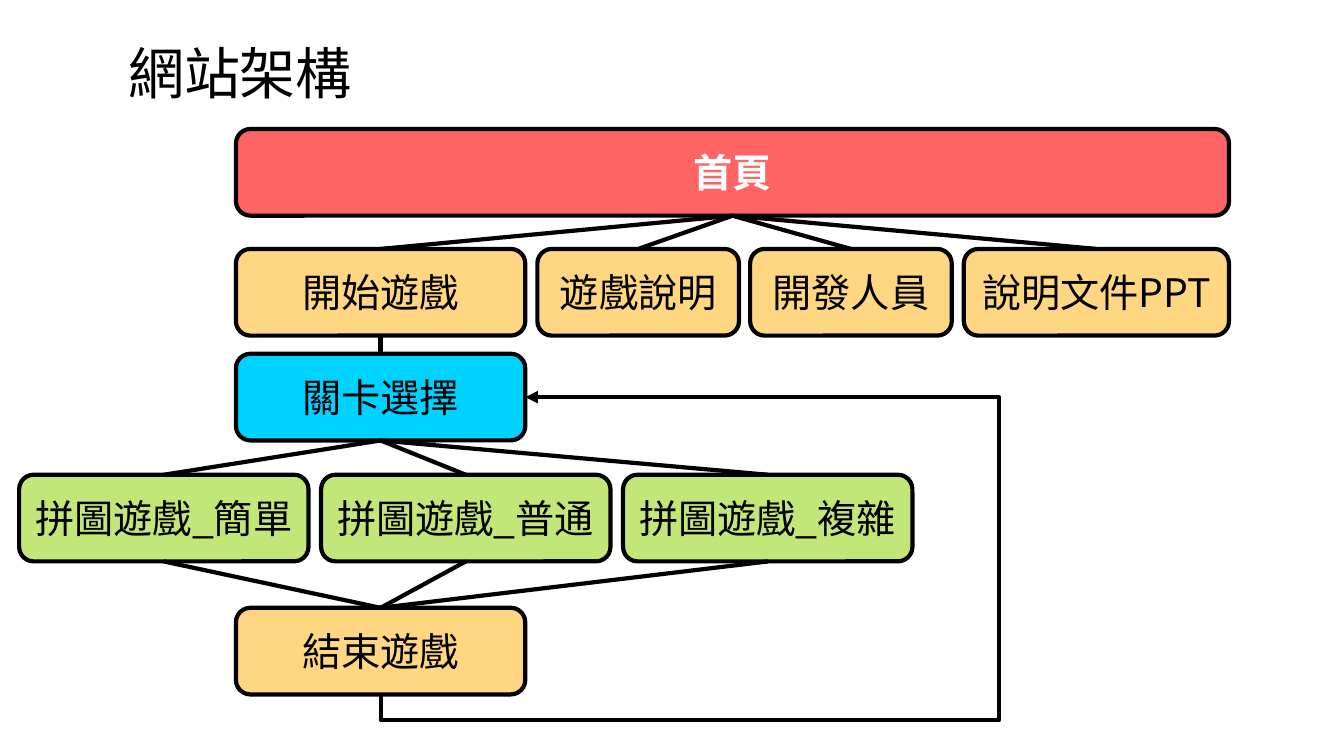
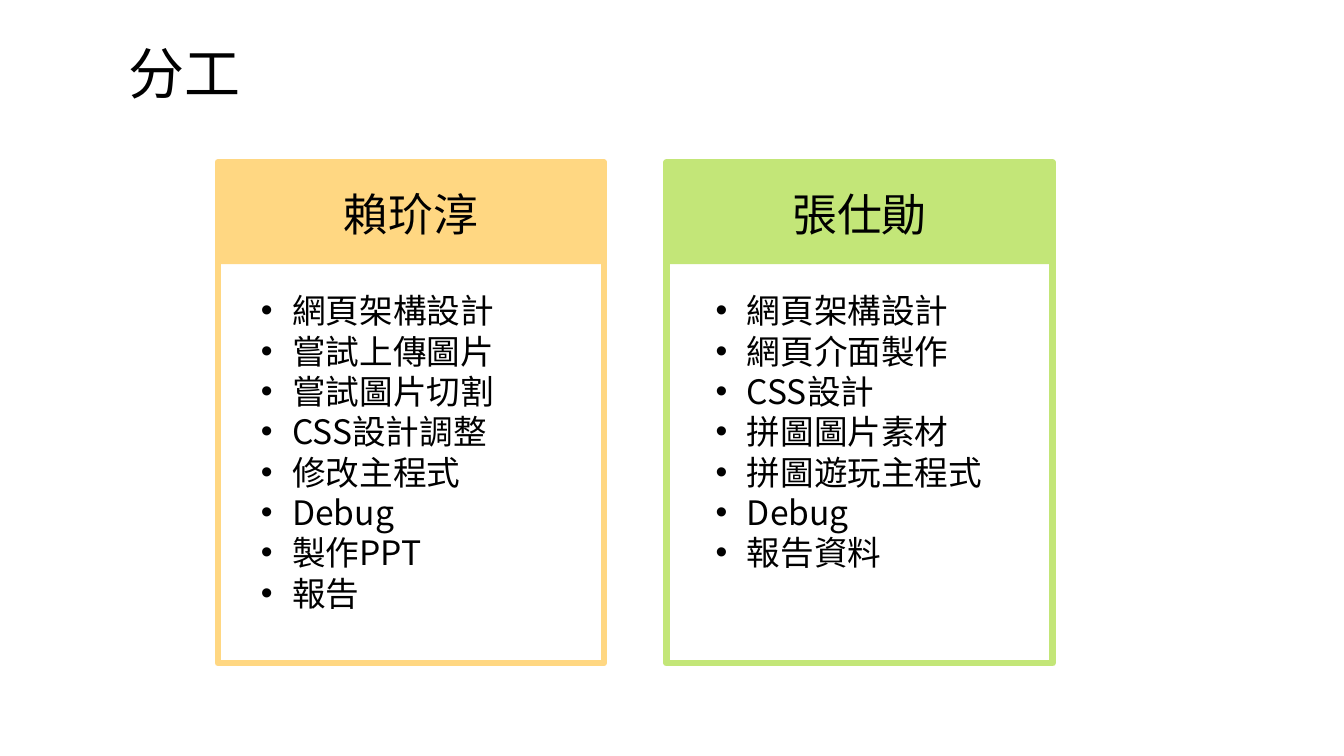
from lxml.etree import SubElement
from pptx import Presentation
from pptx.dml.color import RGBColor
from pptx.enum.shapes import MSO_CONNECTOR as LINE, MSO_SHAPE as SHAPE
from pptx.enum.text import MSO_ANCHOR as ANCHOR, MSO_AUTO_SIZE as AUTO, PP_ALIGN as ALIGN
from pptx.oxml.ns import qn
from pptx.util import Inches, Pt

BLACK = RGBColor(0x00, 0x00, 0x00)
WHITE = RGBColor(0xFF, 0xFF, 0xFF)
RED = RGBColor(0xFF, 0x64, 0x64)
ORANGE = RGBColor(0xFF, 0xD7, 0x82)
BLUE = RGBColor(0x00, 0xD2, 0xFF)
GREEN = RGBColor(0xC3, 0xE6, 0x78)

FONT = "Noto Sans CJK SC"
TITLE_ONLY = 5
TOP, BOTTOM, RIGHT = 0, 2, 3  # connection sites

ROW_HEIGHT = 0.86
NODE_WIDTH = 2.87
NODE_LEFT = 2.34
ROW_TOPS = {"home": 1.28, "menu": 2.47, "level": 3.51, "game": 4.71, "end": 6.03}
MENU = [("開始遊戲", NODE_LEFT, NODE_WIDTH), ("遊戲說明", 5.33, 2),
        ("開發人員", 7.44, 2), ("說明文件PPT", 9.56, 2.63)]
GAMES = ["拼圖遊戲_簡單", "拼圖遊戲_普通", "拼圖遊戲_複雜"]

CARD_LEFT, CARD_TOP, CARD_STEP = 2.16, 1.61, 4.45
CARD_WIDTH, CARD_HEIGHT, HEADER_HEIGHT = 3.83, 4.97, 1.01
# name, colour, list indent in the card, list width, tasks
CARDS = [
    ("賴玠淳", ORANGE, 0.33, 2.54,
     ["網頁架構設計", "嘗試上傳圖片", "嘗試圖片切割", "CSS設計調整",
      "修改主程式", "Debug", "製作PPT", "報告"]),
    ("張仕勛", GREEN, 0.39, 2.87,
     ["網頁架構設計", "網頁介面製作", "CSS設計", "拼圖圖片素材",
      "拼圖遊玩主程式", "Debug", "報告資料"]),
]


def write(para, text, size, align=ALIGN.LEFT, color=BLACK, bold=False):
    para.alignment = align
    span = para.add_run()
    span.text = text
    for name, value in {"name": FONT, "size": Pt(size), "bold": bold}.items():
        setattr(span.font, name, value)
    span.font.color.rgb = color
    SubElement(span.font._element, qn("a:ea")).set("typeface", FONT)


def format_frame(frame, **values):
    for name, value in values.items():
        setattr(frame, name, value)


def add_box(page, kind, left, top, width, height, fill=None, line=None, weight=3):
    box = page.shapes.add_shape(kind, *map(Inches, (left, top, width, height)))
    box.shadow.inherit = False
    if fill is None:
        box.fill.background()
    else:
        box.fill.solid()
        box.fill.fore_color.rgb = fill
    if line is None:
        box.line.fill.background()
    else:
        box.line.color.rgb = line
        box.line.width = Pt(weight)
    return box


def add_title_page(deck, text):
    page = deck.slides.add_slide(deck.slide_layouts[TITLE_ONLY])
    title = page.shapes.title
    place = {"left": 1.17, "top": 0.33, "width": 2.45, "height": 0.77}
    for name, value in place.items():
        setattr(title, name, Inches(value))
    format_frame(title.text_frame, word_wrap=False, auto_size=AUTO.NONE,
                 vertical_anchor=ANCHOR.TOP)
    write(title.text_frame.paragraphs[0], text, 40)
    return page


# Site map

def add_node(page, text, left, row, width, fill, color=BLACK, bold=False):
    node = add_box(page, SHAPE.ROUNDED_RECTANGLE, left, ROW_TOPS[row], width,
                   ROW_HEIGHT, fill, BLACK)
    node.text_frame.vertical_anchor = ANCHOR.MIDDLE
    write(node.text_frame.paragraphs[0], text, 28, ALIGN.CENTER, color, bold)
    return node


def join(page, start, end, kind=LINE.STRAIGHT, end_site=TOP):
    link = page.shapes.add_connector(kind, 0, 0, 0, 0)
    link.begin_connect(start, BOTTOM)
    link.end_connect(end, end_site)
    link.line.color.rgb = BLACK
    link.line.width = Pt(3)
    SubElement(link._element.spPr, qn("a:effectLst"))
    return link


def add_return_arrow(page, start, end, drop, lane):
    """Run from under start, along the lane on the right, back to end's right side."""
    link = join(page, start, end, LINE.ELBOW, RIGHT)
    x, y = start.left + start.width // 2, start.top + start.height
    across = end.left + end.width - x
    rise = y - (end.top + end.height // 2)

    # The four-part elbow is stored lying down and turned a quarter
    properties = link._element.spPr
    frame = properties.find(qn("a:xfrm"))
    for name, value in {"rot": "5400000", "flipH": "1", "flipV": "1"}.items():
        frame.set(name, value)
    link.left = x + (across - rise) // 2
    link.top = y - (rise + across) // 2
    link.width, link.height = rise, across

    geometry = properties.find(qn("a:prstGeom"))
    geometry.set("prst", "bentConnector4")
    guides = geometry.find(qn("a:avLst"))
    ratios = {"adj1": -Inches(drop) / rise, "adj2": (Inches(lane) - x) / across}
    for name, ratio in ratios.items():
        guide = SubElement(guides, qn("a:gd"))
        guide.set("name", name)
        guide.set("fmla", f"val {round(ratio * 100000)}")
    SubElement(link.line._get_or_add_ln(), qn("a:tailEnd")).set("type", "triangle")


def build_site_map(deck):
    page = add_title_page(deck, "網站架構")
    home = add_node(page, "首頁", NODE_LEFT, "home", 9.85, RED, WHITE, True)
    menu = [add_node(page, text, left, "menu", width, ORANGE)
            for text, left, width in MENU]
    level = add_node(page, "關卡選擇", NODE_LEFT, "level", NODE_WIDTH, BLUE)
    games = [add_node(page, text, 0.19 + 2.995 * index, "game", NODE_WIDTH, GREEN)
             for index, text in enumerate(GAMES)]
    end = add_node(page, "結束遊戲", NODE_LEFT, "end", NODE_WIDTH, ORANGE)

    for item in menu:
        join(page, home, item)
    join(page, menu[0], level)
    for game in games:
        join(page, level, game)
        join(page, game, end)
    add_return_arrow(page, end, level, drop=0.25, lane=9.91)


# Division of work

def add_bullet(para, indent):
    properties = para._p.get_or_add_pPr()
    properties.set("marL", str(Inches(indent)))
    properties.set("indent", str(-Inches(indent)))
    SubElement(properties, qn("a:buFont")).set("typeface", "Arial")
    SubElement(properties, qn("a:buChar")).set("char", "•")


def add_card(page, left, top, name, color, list_left, list_width, tasks):
    add_box(page, SHAPE.RECTANGLE, left, top, CARD_WIDTH, CARD_HEIGHT,
            line=color, weight=4.5)
    header = add_box(page, SHAPE.RECTANGLE, left, top, CARD_WIDTH, HEADER_HEIGHT, color)
    header.text_frame.vertical_anchor = ANCHOR.MIDDLE
    write(header.text_frame.paragraphs[0], name, 32, ALIGN.CENTER)

    box = page.shapes.add_textbox(Inches(left + list_left), Inches(top + 1.22),
                                  Inches(list_width), Inches(0.13 + 0.4 * len(tasks)))
    frame = box.text_frame
    format_frame(frame, word_wrap=False, auto_size=AUTO.SHAPE_TO_FIT_TEXT)
    for index, task in enumerate(tasks):
        para = frame.add_paragraph() if index else frame.paragraphs[0]
        write(para, task, 24)
        add_bullet(para, 0.31)


def build_division(deck):
    page = add_title_page(deck, "分工")
    for index, card in enumerate(CARDS):
        add_card(page, CARD_LEFT + CARD_STEP * index, CARD_TOP, *card)


def main():
    deck = Presentation()
    deck.slide_width, deck.slide_height = Inches(13.33), Inches(7.5)
    build_site_map(deck)
    build_division(deck)
    deck.save("out.pptx")


if __name__ == "__main__":
    main()
